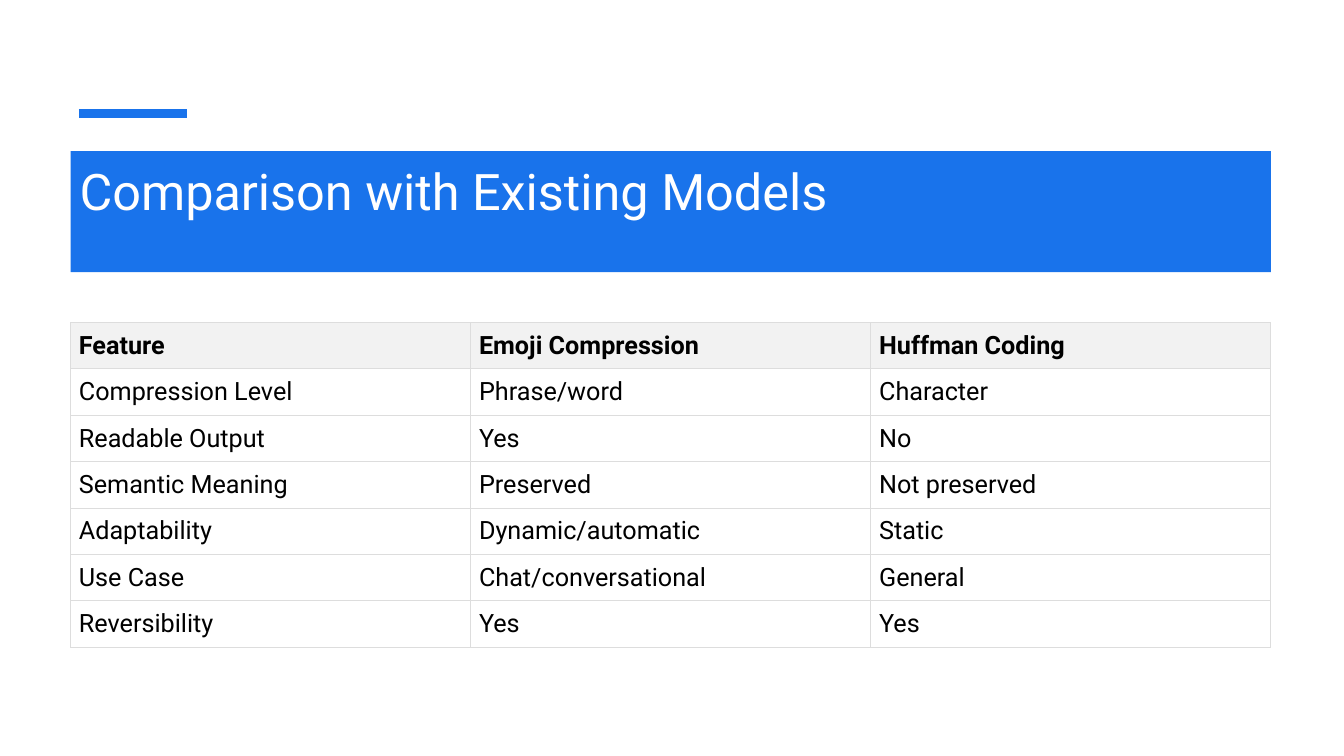
from dataclasses import dataclass

from lxml import etree
from pptx import Presentation
from pptx.dml.color import RGBColor
from pptx.enum.shapes import MSO_CONNECTOR
from pptx.enum.text import MSO_ANCHOR, MSO_AUTO_SIZE, PP_ALIGN
from pptx.oxml.ns import qn
from pptx.util import Pt

STRAIGHT = MSO_CONNECTOR.STRAIGHT
TOP = MSO_ANCHOR.TOP
MIDDLE = MSO_ANCHOR.MIDDLE
LEFT = PP_ALIGN.LEFT
NO_AUTOFIT = MSO_AUTO_SIZE.NONE
TITLE_ONLY = 5

SLIDE_WIDTH = 960
SLIDE_HEIGHT = 540
MARGIN = 50.4
CONTENT_WIDTH = 857.4
ROW_HEIGHT = 33.1

COMPARISON = [
    ("Feature", "Emoji Compression", "Huffman Coding"),
    ("Compression Level", "Phrase/word", "Character"),
    ("Readable Output", "Yes", "No"),
    ("Semantic Meaning", "Preserved", "Not preserved"),
    ("Adaptability", "Dynamic/automatic", "Static"),
    ("Use Case", "Chat/conversational", "General"),
    ("Reversibility", "Yes", "Yes"),
]


@dataclass(frozen=True)
class Theme:
    font: str = "Roboto"
    accent: str = "1973EB"
    title_color: str = "FFFFFF"
    text_color: str = "000000"
    header_fill: str = "F2F2F2"
    border: str = "DDDDDD"
    border_width: float = 0.75
    title_size: float = 36
    table_size: float = 18
    title_inset: float = 6.5
    cell_inset: float = 6


class SlideBuilder:
    def __init__(self, slide, theme):
        self.slide = slide
        self.theme = theme

    def add_run(self, paragraph, text, size, color, bold=False):
        paragraph.alignment = LEFT
        run = paragraph.add_run()
        run.text = text
        run.font.name = self.theme.font
        run.font.size = Pt(size)
        run.font.bold = bold
        run.font.color.rgb = RGBColor.from_string(color)

    def add_accent_line(self, left, right, y):
        line = self.slide.shapes.add_connector(
            STRAIGHT, Pt(left), Pt(y), Pt(right), Pt(y)
        )
        line.line.color.rgb = RGBColor.from_string(self.theme.accent)
        line.line.width = Pt(6)
        properties = line._element.find(qn("p:spPr"))
        etree.SubElement(properties, qn("a:effectLst"))

    def set_title(self, text, left, top, width, height):
        title = self.slide.shapes.title
        title.left, title.top = Pt(left), Pt(top)
        title.width, title.height = Pt(width), Pt(height)
        title.fill.solid()
        title.fill.fore_color.rgb = RGBColor.from_string(self.theme.accent)
        frame = title.text_frame
        frame.word_wrap = True
        frame.auto_size = NO_AUTOFIT
        frame.vertical_anchor = TOP
        inset = Pt(self.theme.title_inset)
        frame.margin_left = frame.margin_right = inset
        frame.margin_top = frame.margin_bottom = inset
        self.add_run(
            frame.paragraphs[0], text, self.theme.title_size, self.theme.title_color
        )

    def add_borders(self, cell):
        properties = cell._tc.get_or_add_tcPr()
        for side in ("lnL", "lnR", "lnT", "lnB"):
            line = etree.SubElement(properties, qn(f"a:{side}"))
            line.set("w", str(Pt(self.theme.border_width)))
            fill = etree.SubElement(line, qn("a:solidFill"))
            etree.SubElement(fill, qn("a:srgbClr")).set("val", self.theme.border)

    def format_cell(self, cell, text, is_header):
        self.add_borders(cell)
        if is_header:
            cell.fill.solid()
            cell.fill.fore_color.rgb = RGBColor.from_string(self.theme.header_fill)
        else:
            cell.fill.background()
        inset = Pt(self.theme.cell_inset)
        cell.margin_left = cell.margin_right = inset
        cell.margin_top = cell.margin_bottom = inset
        cell.vertical_anchor = MIDDLE
        self.add_run(
            cell.text_frame.paragraphs[0],
            text,
            self.theme.table_size,
            self.theme.text_color,
            is_header,
        )

    def add_table(self, rows, left, top, width, row_height):
        column_count = len(rows[0])
        table = self.slide.shapes.add_table(
            len(rows), column_count,
            Pt(left), Pt(top), Pt(width), Pt(row_height * len(rows)),
        ).table
        table.horz_banding = False
        for column in table.columns:
            column.width = Pt(width / column_count)
        for row_index, texts in enumerate(rows):
            table.rows[row_index].height = Pt(row_height)
            for column_index, text in enumerate(texts):
                cell = table.cell(row_index, column_index)
                self.format_cell(cell, text, row_index == 0)


def main():
    presentation = Presentation()
    presentation.slide_width = Pt(SLIDE_WIDTH)
    presentation.slide_height = Pt(SLIDE_HEIGHT)
    slide = presentation.slides.add_slide(presentation.slide_layouts[TITLE_ONLY])
    builder = SlideBuilder(slide, Theme())
    builder.add_accent_line(56.4, 133.4, 81.2)
    builder.set_title(
        "Comparison with Existing Models", MARGIN, 108, CONTENT_WIDTH, 86.4
    )
    builder.add_table(COMPARISON, MARGIN, 230.4, CONTENT_WIDTH, ROW_HEIGHT)
    presentation.save("out.pptx")


if __name__ == "__main__":
    main()
